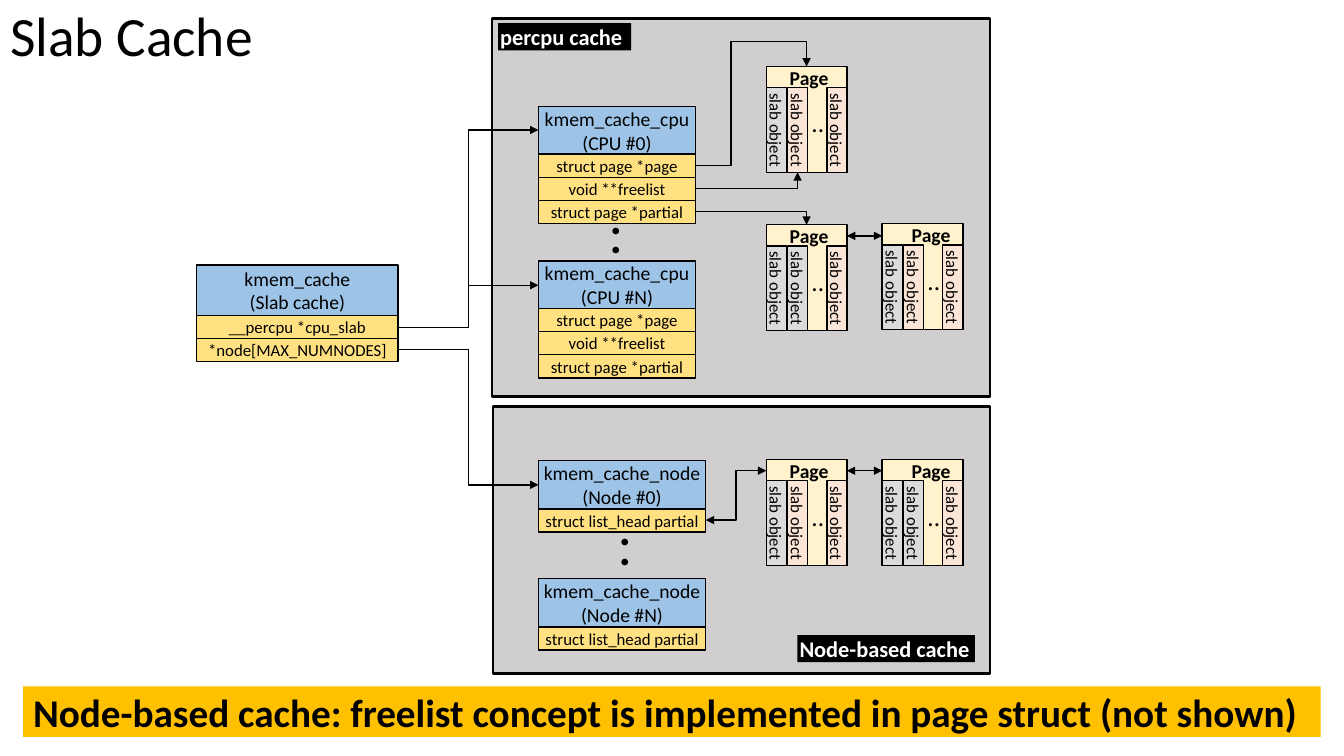
from lxml import etree
from pptx import Presentation
from pptx.dml.color import RGBColor
from pptx.enum.shapes import MSO_CONNECTOR as Connector, MSO_SHAPE as Shape
from pptx.enum.text import MSO_ANCHOR as Anchor, PP_ALIGN as Align
from pptx.oxml.ns import qn
from pptx.util import Inches, Pt

COLORS = {
    "text": "000000", "inverse": "FFFFFF", "line": "000000", "panel": "D0CECE",
    "banner": "FFC000", "heading": "9DC3E6", "field": "FFE181",
    "page": "FFF2CC", "used": "DBDBDB", "free": "FBE5D6", "label": "000000",
}


def color(name):
    return RGBColor.from_string(COLORS[name])


def write(shape, text, size, bold=False, ink="text", align=Align.CENTER,
          anchor=Anchor.MIDDLE, inset=(0.02, 0), spacing=None):
    frame = shape.text_frame
    side, edge = (Inches(value) for value in inset)
    settings = {"word_wrap": True, "vertical_anchor": anchor,
                "margin_left": side, "margin_right": side,
                "margin_top": edge, "margin_bottom": edge}
    for name, value in settings.items():
        setattr(frame, name, value)
    frame.text = text
    for paragraph in frame.paragraphs:
        paragraph.alignment = align
        if spacing:
            paragraph.line_spacing = spacing
        for name, value in {"name": "Calibri", "size": Pt(size), "bold": bold}.items():
            setattr(paragraph.font, name, value)
        paragraph.font.color.rgb = color(ink)


def add_box(slide, box, fill, line_width=1):
    shape = slide.shapes.add_shape(Shape.RECTANGLE, *map(Inches, box))
    shape.shadow.inherit = False
    shape.fill.solid()
    shape.fill.fore_color.rgb = color(fill)
    if line_width:
        shape.line.color.rgb = color("line")
        shape.line.width = Pt(line_width)
    else:
        shape.line.fill.background()
    return shape


def add_text(slide, box, text, size, **options):
    textbox = slide.shapes.add_textbox(*map(Inches, box))
    write(textbox, text, size, **options)


def add_title(slide, box, text):
    title = slide.shapes.title
    title.left, title.top, title.width, title.height = map(Inches, box)
    write(title, text, 39.6, align=Align.LEFT, inset=(0.1, 0.05), spacing=0.9)


def add_struct(slide, left, top, width, heading_height, heading, fields):
    """Blue heading with a stack of yellow fields beneath it."""
    write(add_box(slide, (left, top, width, heading_height), "heading"), heading, 14)
    for index, field in enumerate(fields):
        field_top = top + heading_height + index * 0.23
        write(add_box(slide, (left, field_top, width, 0.23), "field"), field, 12)


def add_page(slide, left, top, second_object, label_shift):
    """Page frame holding three vertical slab objects and an ellipsis."""
    length, thickness = 0.84, 0.2
    add_box(slide, (left, top, 0.8, 1.05), "page")
    for center, fill in ((0.1, "used"), (0.31, second_object), (0.7, "free")):
        box = (left + center - length / 2, top + 0.63 - thickness / 2, length, thickness)
        slab = add_box(slide, box, fill)
        slab.rotation = 90
        write(slab, "slab object", 12)
    add_text(slide, (left + 0.35, top + 0.36, 0.44, 0.4), "..", 18,
             align=Align.LEFT, anchor=Anchor.TOP, inset=(0.1, 0.05))
    add_text(slide, (left + label_shift, top - 0.06, 0.61, 0.34), "Page", 14,
             bold=True, anchor=Anchor.TOP, inset=(0, 0.05))


def add_dots(slide, left, top):
    add_text(slide, (left, top, 0.42, 0.56), ".\n.", 32, bold=True, align=Align.LEFT,
             anchor=Anchor.TOP, inset=(0.1, 0.05), spacing=Pt(14))


def add_arrow(slide, start, end, preset="bentConnector3", both=False, adjust=()):
    connector = slide.shapes.add_connector(
        Connector.ELBOW, *map(Inches, (*start, *end)))
    connector.line.color.rgb = color("line")
    connector.line.width = Pt(1)
    properties = connector._element.spPr
    geometry = properties.find(qn("a:prstGeom"))
    geometry.set("prst", preset)
    guides = geometry.find(qn("a:avLst"))
    for number, value in enumerate(adjust, 1):
        etree.SubElement(guides, qn("a:gd"), name=f"adj{number}", fmla=f"val {value}")
    line = properties.find(qn("a:ln"))
    for tag in ("a:headEnd", "a:tailEnd") if both else ("a:tailEnd",):
        etree.SubElement(line, qn(tag), type="triangle")
    etree.SubElement(properties, qn("a:effectLst"))


def add_panel(slide, box, label, label_box):
    add_box(slide, box, "panel", 2)
    write(add_box(slide, label_box, "label", 0), label, 16, bold=True,
          ink="inverse", align=Align.LEFT, anchor=Anchor.TOP)


def add_percpu_cache(slide, left, top):
    add_panel(slide, (left, top, 4.94, 3.75), "percpu cache",
              (left + 0.06, top + 0.05, 1.32, 0.27))
    fields = ("struct page *page", "void **freelist", "struct page *partial")
    for cpu, offset in (("0", 0.88), ("N", 2.41)):
        add_struct(slide, left + 0.46, top + offset, 1.56, 0.47,
                   f"kmem_cache_cpu\v(CPU #{cpu})", fields)
    add_dots(slide, left + 1.07, top + 1.99)

    # Current page, then the partial list
    add_page(slide, left + 2.72, top + 0.48, "free", 0.12)
    add_page(slide, left + 2.72, top + 2.05, "used", 0.12)
    add_page(slide, left + 3.87, top + 2.04, "free", 0.18)
    right = left + 2.02
    add_arrow(slide, (right, top + 1.46), (left + 3.12, top + 0.48),
              "bentConnector4", adjust=(31800, 125500))
    add_arrow(slide, (right, top + 1.69), (left + 3.03, top + 1.53), "bentConnector2")
    add_arrow(slide, (right, top + 1.92), (left + 3.12, top + 2.05), "bentConnector2")
    add_arrow(slide, (left + 3.52, top + 2.16), (left + 3.87, top + 2.16), "line", both=True)


def add_node_cache(slide, left, top):
    add_panel(slide, (left, top, 4.93, 2.65), "Node-based cache",
              (left + 3.02, top + 2.27, 1.76, 0.27))
    for node, offset in (("0", 0.54), ("N", 1.71)):
        add_struct(slide, left + 0.45, top + offset, 1.66, 0.48,
                   f"kmem_cache_node\n(Node #{node})", ("struct list_head partial",))
    add_dots(slide, left + 1.15, top + 1.23)

    # Partial list
    add_page(slide, left + 2.71, top + 0.53, "free", 0.12)
    add_page(slide, left + 3.86, top + 0.53, "used", 0.18)
    add_arrow(slide, (left + 2.11, top + 1.13), (left + 2.71, top + 0.64), both=True)
    add_arrow(slide, (left + 3.51, top + 0.64), (left + 3.86, top + 0.64), "line", both=True)


def add_slab_cache(slide, left, top):
    add_struct(slide, left, top, 2, 0.5, "kmem_cache\v(Slab cache)",
               ("__percpu *cpu_slab", "*node[MAX_NUMNODES]"))
    for start, end in ((0.62, -1.34), (0.62, 0.2), (0.84, 2.18)):
        add_arrow(slide, (left + 2, top + start), (left + 3.39, top + end))


def add_banner(slide, box, text):
    write(add_box(slide, box, "banner", 0), text, 28, bold=True,
          align=Align.LEFT, inset=(0.1, 0.05))


def main():
    presentation = Presentation()
    presentation.slide_width, presentation.slide_height = Inches(13.33), Inches(7.5)
    slide = presentation.slides.add_slide(presentation.slide_layouts[5])
    add_title(slide, (0, 0.02, 11.5, 0.73), "Slab Cache")
    add_node_cache(slide, 4.89, 4.03)
    add_percpu_cache(slide, 4.88, 0.18)
    add_slab_cache(slide, 1.95, 2.63)
    add_banner(slide, (0.23, 6.81, 12.87, 0.5),
               "Node-based cache: freelist concept is implemented in page struct (not shown)")
    presentation.save("out.pptx")


if __name__ == "__main__":
    main()
